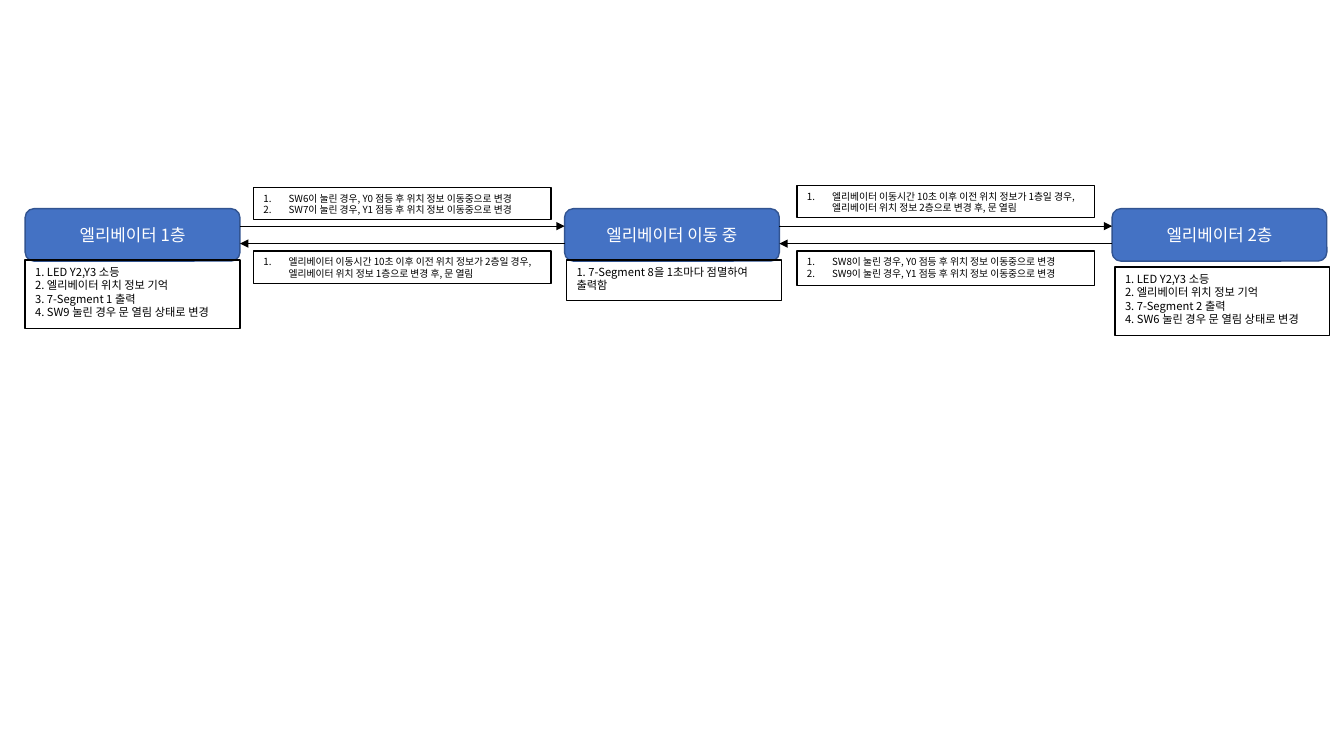
from lxml.etree import SubElement
from pptx import Presentation
from pptx.dml.color import RGBColor
from pptx.enum.shapes import MSO_CONNECTOR, MSO_SHAPE
from pptx.enum.text import MSO_ANCHOR, PP_ALIGN
from pptx.oxml import parse_xml
from pptx.oxml.ns import nsdecls, qn
from pptx.util import Inches, Pt

FONT = "Noto Sans CJK KR"
COLORS = {"state": "4472C4", "state_edge": "325491", "ink": "000000", "label": "FFFFFF"}

# State: left edge, label, action box offset (x, y) and height, actions
STATES = [
    (0.25, "엘리베이터 1층", (0, 0), 0.68,
     ["1. LED Y2,Y3 소등", "2. 엘리베이터 위치 정보 기억",
      "3. 7-Segment 1 출력", "4. SW9 눌린 경우 문 열림 상태로 변경"]),
    (5.6, "엘리베이터 이동 중", (0.02, 0), 0.4,
     ["1. 7-Segment 8을 1초마다 점멸하여 출력함"]),
    (11.03, "엘리베이터 2층", (0.03, 0.07), 0.68,
     ["1. LED Y2,Y3 소등", "2. 엘리베이터 위치 정보 기억",
      "3. 7-Segment 2 출력", "4. SW6 눌린 경우 문 열림 상태로 변경"]),
]

# Transition: from state, to state, condition box top and height, conditions
TRANSITIONS = [
    (0, 1, 1.86, 0.32,
     ["SW6이 눌린 경우, Y0 점등 후 위치 정보 이동중으로 변경",
      "SW7이 눌린 경우, Y1 점등 후 위치 정보 이동중으로 변경"]),
    (1, 0, 2.49, 0.32,
     ["엘리베이터 이동시간 10초 이후 이전 위치 정보가 2층일 경우, "
      "엘리베이터 위치 정보 1층으로 변경 후, 문 열림"]),
    (1, 2, 1.84, 0.32,
     ["엘리베이터 이동시간 10초 이후 이전 위치 정보가 1층일 경우, "
      "엘리베이터 위치 정보 2층으로 변경 후, 문 열림"]),
    (2, 1, 2.49, 0.34,
     ["SW8이 눌린 경우, Y0 점등 후 위치 정보 이동중으로 변경",
      "SW9이 눌린 경우, Y1 점등 후 위치 정보 이동중으로 변경"]),
]

STATE_TOP, STATE_W, STATE_H = 2.07, 2.13, 0.52
ACTION_TOP = 2.58
CONDITION_W = 2.95
FORWARD_Y, BACK_Y = STATE_TOP + STATE_H / 3, STATE_TOP + STATE_H * 2 / 3
NUMBER_INDENT = Inches(0.25)


def rgb(name):
    return RGBColor.from_string(COLORS[name])


def add_box(slide, kind, area, lines, size, ink="ink", edge="ink", fill=None):
    box = slide.shapes.add_shape(kind, *map(Inches, area))
    box.shadow.inherit = False
    if fill:
        box.fill.solid()
        box.fill.fore_color.rgb = rgb(fill)
    else:
        box.fill.background()
    box.line.color.rgb = rgb(edge)
    box.line.width = Pt(1)
    frame = box.text_frame
    frame.word_wrap = True
    frame.vertical_anchor = MSO_ANCHOR.MIDDLE if fill else MSO_ANCHOR.TOP
    frame.text = "\n".join(lines)
    for paragraph in frame.paragraphs:
        paragraph.alignment = PP_ALIGN.CENTER if fill else PP_ALIGN.LEFT
        font = paragraph.font
        font.size = Pt(size)
        font.name = FONT
        font.color.rgb = rgb(ink)
        defaults = paragraph._p.pPr.find(qn("a:defRPr"))
        SubElement(defaults, qn("a:ea")).set("typeface", FONT)
    return box


def number_lines(box):
    for paragraph in box.text_frame.paragraphs:
        properties = paragraph._p.pPr
        properties.set("marL", str(NUMBER_INDENT))
        properties.set("indent", str(-NUMBER_INDENT))
        properties.insert(0, parse_xml(f'<a:buAutoNum {nsdecls("a")} type="arabicPeriod"/>'))


def add_arrow(slide, start_x, end_x, y):
    arrow = slide.shapes.add_connector(
        MSO_CONNECTOR.STRAIGHT, Inches(start_x), Inches(y), Inches(end_x), Inches(y))
    arrow.line.color.rgb = rgb("ink")
    arrow.line.width = Pt(0.5)
    SubElement(arrow.line._get_or_add_ln(), qn("a:tailEnd")).set("type", "triangle")
    SubElement(arrow._element.spPr, qn("a:effectLst"))


def main():
    deck = Presentation()
    deck.slide_width, deck.slide_height = Inches(13.33), Inches(7.5)
    slide = deck.slides.add_slide(deck.slide_layouts[6])

    for left, label, (dx, dy), height, actions in STATES:
        add_box(slide, MSO_SHAPE.FLOWCHART_ALTERNATE_PROCESS,
                (left, STATE_TOP, STATE_W, STATE_H), [label], 12,
                ink="label", edge="state_edge", fill="state")
        add_box(slide, MSO_SHAPE.RECTANGLE,
                (left + dx, ACTION_TOP + dy, STATE_W, height), actions, 8)

    for source, target, top, height, conditions in TRANSITIONS:
        first, second = sorted((source, target))
        gap_left, gap_right = STATES[first][0] + STATE_W, STATES[second][0]
        if source < target:
            add_arrow(slide, gap_left, gap_right, FORWARD_Y)
        else:
            add_arrow(slide, gap_right, gap_left, BACK_Y)
        left = (gap_left + gap_right - CONDITION_W) / 2
        number_lines(add_box(slide, MSO_SHAPE.RECTANGLE,
                             (left, top, CONDITION_W, height), conditions, 7))

    deck.save("out.pptx")


if __name__ == "__main__":
    main()
